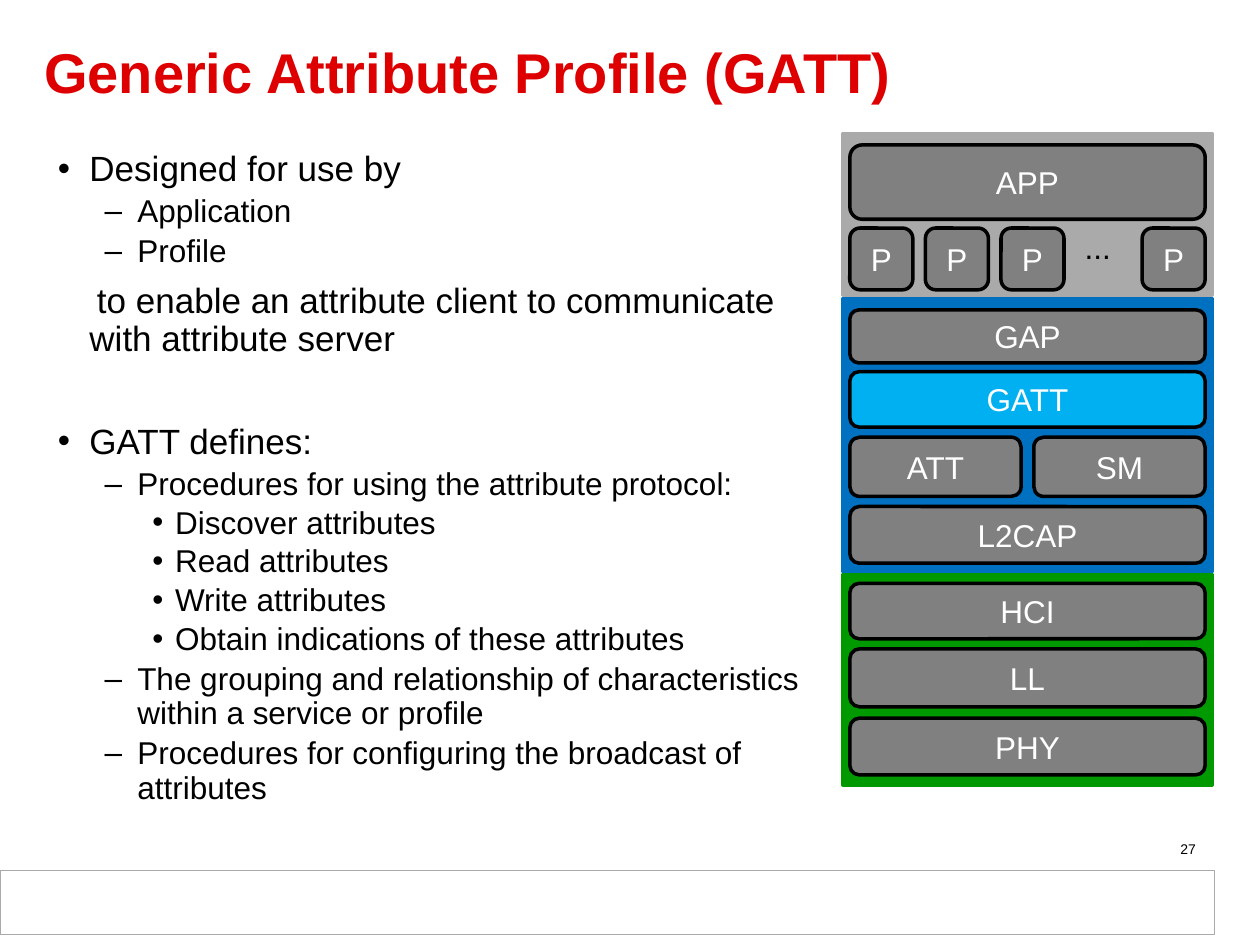
from lxml import etree
from pptx import Presentation
from pptx.dml.color import RGBColor
from pptx.enum import shapes, text
from pptx.oxml import ns
from pptx.util import Inches, Pt

RED = RGBColor(0xDE, 0x00, 0x00)
BLACK = RGBColor(0x00, 0x00, 0x00)
WHITE = RGBColor(0xFF, 0xFF, 0xFF)
SILVER = RGBColor(0xAA, 0xAA, 0xAA)
GRAY = RGBColor(0x80, 0x80, 0x80)
BLUE = RGBColor(0x00, 0x70, 0xC0)
SKY = RGBColor(0x00, 0xB0, 0xF0)
GREEN = RGBColor(0x00, 0x99, 0x00)
FONT = "Arial"

# Style name: level, left margin, first-line indent, size, space before, bullet
STYLES = {
    "point": (0, 0.25, -0.25, 20, 8, "•"),
    "plain": (0, 0.25, 0.06, 20, 8, None),
    "section": (0, 0.25, -0.25, 20, 37, "•"),
    "dash": (1, 0.63, -0.26, 18, 3.6, "–"),
    "detail": (2, 0.93, -0.18, 18, 2.7, "•"),
}

BODY = [
    ("point", "Designed for use by"),
    ("dash", "Application"),
    ("dash", "Profile"),
    ("plain", "to enable an attribute client to communicate with attribute server"),
    ("section", "GATT defines:"),
    ("dash", "Procedures for using the attribute protocol:"),
    ("detail", "Discover attributes"),
    ("detail", "Read attributes"),
    ("detail", "Write attributes"),
    ("detail", "Obtain indications of these attributes"),
    ("dash", "The grouping and relationship of characteristics within a service or profile"),
    ("dash", "Procedures for configuring the broadcast of attributes"),
]

# Bands of the protocol stack: top, height, colour
BANDS = [(0, 1.28, SILVER), (1.31, 2.17, BLUE), (3.5, 1.67, GREEN)]

# Rows of the stack: top, height, block width, cells as (left, label)
FULL, HALF, SMALL = 2.82, 1.36, 0.5
ROWS = [
    (0.09, 0.59, FULL, [(0, "APP")]),
    (0.75, 0.49, SMALL, [(0, "P"), (0.6, "P"), (1.2, "P"), (FULL - SMALL, "P")]),
    (1.4, 0.42, FULL, [(0, "GAP")]),
    (1.89, 0.44, FULL, [(0, "GATT")]),
    (2.41, 0.47, HALF, [(0, "ATT"), (FULL - HALF, "SM")]),
    (2.96, 0.45, FULL, [(0, "L2CAP")]),
    (3.57, 0.44, FULL, [(0, "HCI")]),
    (4.09, 0.46, FULL, [(0, "LL")]),
    (4.64, 0.45, FULL, [(0, "PHY")]),
]
HIGHLIGHT = "GATT"


def place(item, box):
    item.left, item.top, item.width, item.height = map(Inches, box)


def style_font(para, size, color, bold=False):
    font = para.font
    font.name, font.size, font.bold = FONT, Pt(size), bold
    font.color.rgb = color


def set_bullet(para, margin, indent, mark):
    props = para._p.get_or_add_pPr()
    props.set("marL", str(Inches(margin)))
    props.set("indent", str(Inches(indent)))
    if mark:
        etree.SubElement(props, ns.qn("a:buFont"), typeface=FONT)
        etree.SubElement(props, ns.qn("a:buChar"), char=mark)
    else:
        etree.SubElement(props, ns.qn("a:buNone"))


def add_block(parent, kind, box, fill, line, width):
    block = parent.add_shape(kind, *map(Inches, box))
    block.shadow.inherit = False
    block.fill.solid()
    block.fill.fore_color.rgb = fill
    block.line.color.rgb = line
    block.line.width = Pt(width)
    return block


def add_label(parent, box, words, size, align):
    label = parent.add_textbox(*map(Inches, box))
    label.text_frame.word_wrap = True
    para = label.text_frame.paragraphs[0]
    para.text, para.alignment = words, align
    style_font(para, size, BLACK)


def fill_title(page, box):
    title = page.shapes.title
    place(title, box)
    frame = title.text_frame
    frame.auto_size = text.MSO_AUTO_SIZE.NONE
    frame.vertical_anchor = text.MSO_ANCHOR.MIDDLE
    para = frame.paragraphs[0]
    para.text = "Generic Attribute Profile (GATT)"
    para.alignment = text.PP_ALIGN.LEFT
    para.line_spacing = 0.85
    style_font(para, 32, RED, bold=True)


def fill_body(page, box):
    body = page.placeholders[1]
    place(body, box)
    frame = body.text_frame
    frame.auto_size = text.MSO_AUTO_SIZE.NONE
    for number, (style, words) in enumerate(BODY):
        para = frame.add_paragraph() if number else frame.paragraphs[0]
        level, margin, indent, size, before, mark = STYLES[style]
        para.text, para.level = words, level
        para.line_spacing, para.space_before = 0.9, Pt(before)
        set_bullet(para, margin, indent, mark)
        style_font(para, size, BLACK)


def draw_stack(page, box):
    left, top, width, _ = box
    stack = page.shapes.add_group_shape().shapes

    # Coloured bands
    for offset, height, color in BANDS:
        add_block(stack, shapes.MSO_SHAPE.RECTANGLE,
                  (left, top + offset, width, height), color, color, 2)

    # Protocol blocks
    inner = left + (width - FULL) / 2
    for offset, height, block_width, cells in ROWS:
        for shift, words in cells:
            block = add_block(stack, shapes.MSO_SHAPE.ROUNDED_RECTANGLE,
                              (inner + shift, top + offset, block_width, height),
                              SKY if words == HIGHLIGHT else GRAY, BLACK, 2)
            block.text_frame.vertical_anchor = text.MSO_ANCHOR.MIDDLE
            para = block.text_frame.paragraphs[0]
            para.text, para.alignment = words, text.PP_ALIGN.CENTER
            style_font(para, 18, WHITE)

    # More profiles
    add_label(stack, (left + 1.82, top + 0.7, 0.59, 0.44), "...", 18,
              text.PP_ALIGN.LEFT)


def draw_footer(page, box):
    left, top, width, _ = box
    add_block(page.shapes, shapes.MSO_SHAPE.RECTANGLE, box, WHITE, SILVER, 0.75)
    add_label(page.shapes, (left + width - 2.38, top - 0.29, 2.33, 0.23), "27", 8,
              text.PP_ALIGN.RIGHT)


def main():
    deck = Presentation()
    deck.slide_width, deck.slide_height = Inches(10), Inches(7.5)
    page = deck.slides.add_slide(deck.slide_layouts[1])
    fill_title(page, (0.25, 0.16, 9.25, 0.89))
    fill_body(page, (0.36, 1.15, 6.13, 5.41))
    draw_stack(page, (6.69, 1.06, 2.93, 5.17))
    draw_footer(page, (0, 6.91, 9.64, 0.51))
    deck.save("out.pptx")


if __name__ == "__main__":
    main()
